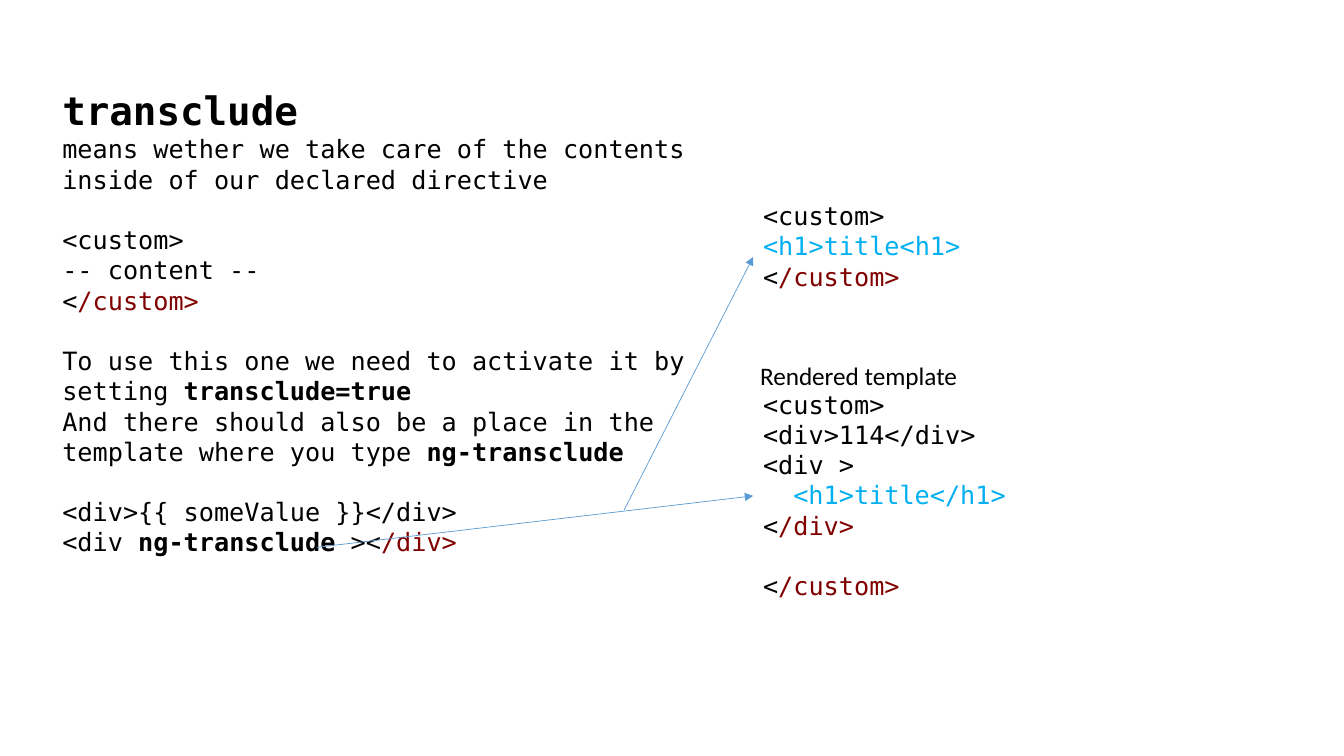
import pptx
import pptx.dml.color
import pptx.enum.shapes
import pptx.enum.text
import pptx.oxml
import pptx.oxml.ns
import pptx.util

Inches, Pt = pptx.util.Inches, pptx.util.Pt
MONO = "DejaVu Sans Mono"
BLACK, MAROON, CYAN, BLUE = "000000", "800000", "00B0F0", "5B9BD5"
BOLD = {"bold": True}
CLOSING = {"color": MAROON}
INSERTED = {"color": CYAN}
GAP = {"space_before": Pt(21.6)}


def color(value):
    """Turn a hex string into a colour."""
    return pptx.dml.color.RGBColor.from_string(value)


def closing_tag(name):
    """Return the spans of a closing tag with its coloured end."""
    return [("<", {}), (f"/{name}>", CLOSING)]


def add_text(page, box, lines, font=MONO):
    """Place lines, each a pair of spans and paragraph format, in a text box."""
    frame = page.shapes.add_textbox(*map(Inches, box)).text_frame
    frame.word_wrap = True
    frame.auto_size = pptx.enum.text.MSO_AUTO_SIZE.SHAPE_TO_FIT_TEXT
    for index, (spans, layout) in enumerate(lines):
        para = frame.paragraphs[0] if index == 0 else frame.add_paragraph()
        for name, value in layout.items():
            if name == "indent":
                para._p.get_or_add_pPr().set("marL", str(Inches(value)))
            else:
                setattr(para, name, value)
        for text, style in spans:
            span = para.add_run()
            span.text = text
            values = {"name": font, "size": Pt(18), "bold": False, "color": BLACK, **style}
            span.font.color.rgb = color(values.pop("color"))
            for name, value in values.items():
                setattr(span.font, name, value)


def add_arrow(page, start, end):
    """Draw a thin arrow between two points."""
    points = map(Inches, start + end)
    arrow = page.shapes.add_connector(pptx.enum.shapes.MSO_CONNECTOR.STRAIGHT, *points)
    arrow.line.color.rgb = color(BLUE)
    arrow.line.width = Pt(0.5)
    head = pptx.oxml.parse_xml(f'<a:tailEnd {pptx.oxml.ns.nsdecls("a")} type="triangle"/>')
    arrow.line._get_or_add_ln().append(head)
    effects = pptx.oxml.parse_xml(f'<a:effectLst {pptx.oxml.ns.nsdecls("a")}/>')
    arrow._element.spPr.append(effects)


def add_explanation(page, box):
    """Explain the transclude option with its directive and template code."""
    add_text(page, box, [
        ([("transclude", {"size": Pt(28), **BOLD})], {}),
        ([("means wether we take care of the contents inside of our declared directive", {})], {}),
        ([("<custom>", {})], GAP),
        ([("-- content --", {})], {}),
        (closing_tag("custom"), {}),
        ([("To use this one we need to activate it by setting ", {}),
          ("transclude=true", BOLD)], GAP),
        ([("And there should also be a place in the template where you type ", {}),
          ("ng-transclude", BOLD)], {}),
        ([("<div>{{ someValue }}</div>", {})], GAP),
        ([("<div ", {}), ("ng-transclude", BOLD), (" >", {})] + closing_tag("div"), {}),
    ])


def add_usage(page, box):
    """Show the directive as it is used."""
    add_text(page, box, [
        ([("<custom>", {})], {}),
        ([("<h1>title<h1>", INSERTED)], {}),
        (closing_tag("custom"), {}),
    ])


def add_rendered(page, box):
    """Show the rendered template under its caption."""
    left, top, width, height = box
    add_text(page, box, [
        ([("<custom>", {})], {}),
        ([("<div>114</div>", {})], {}),
        ([("<div >", {})], {}),
        ([("<h1>title</h1>", INSERTED)], {"indent": 0.3}),
        (closing_tag("div"), {}),
        (closing_tag("custom"), GAP),
    ])
    caption_box = (left - 0.03, top - 0.28, 2.24, 0.4)
    add_text(page, caption_box, [([("Rendered template", {})], {})], "Calibri")


def build_slide(deck):
    """Build the transclude slide."""
    page = deck.slides.add_slide(deck.slide_layouts[6])
    add_explanation(page, (0.52, 0.81, 6.67, 4.81))
    add_usage(page, (7.47, 1.94, 6.67, 1.01))
    add_rendered(page, (7.47, 3.81, 6.67, 2.22))
    add_arrow(page, (3.14, 5.43), (7.47, 4.92))
    add_arrow(page, (6.19, 5.06), (7.47, 2.55))


deck = pptx.Presentation()
deck.slide_width, deck.slide_height = Inches(13.33), Inches(7.5)
build_slide(deck)
deck.save("out.pptx")
